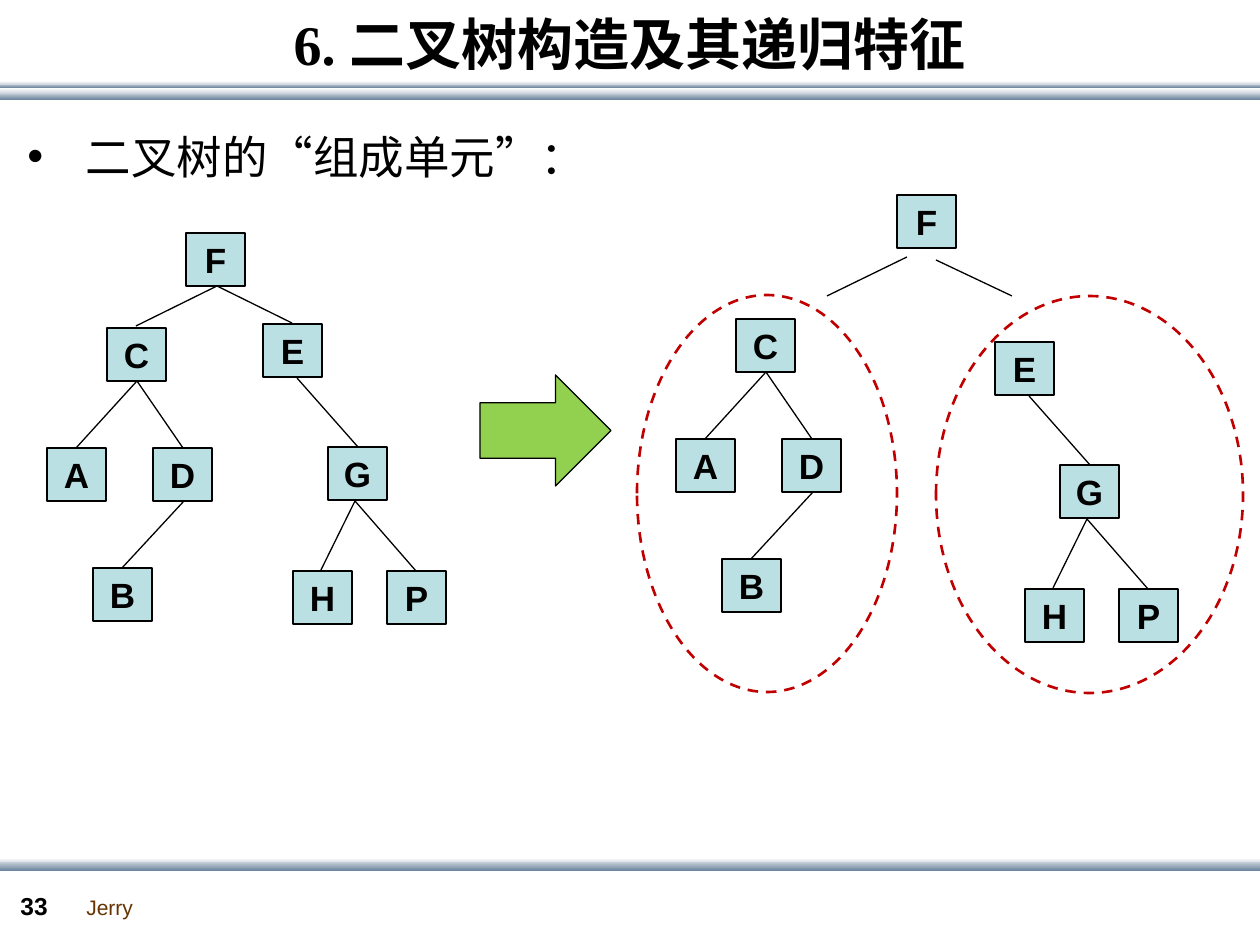
from dataclasses import dataclass

from lxml.etree import SubElement
from pptx import Presentation
from pptx.dml.color import RGBColor
from pptx.enum.dml import MSO_LINE
from pptx.enum.shapes import MSO_CONNECTOR, MSO_SHAPE
from pptx.enum.text import MSO_ANCHOR, PP_ALIGN
from pptx.oxml.ns import qn
from pptx.util import Emu, Pt

PX = 914400 / 126
WIDTH, HEIGHT = 1260, 945
NODE_WIDTH, NODE_HEIGHT = 59, 53

BLACK = RGBColor(0x00, 0x00, 0x00)
WHITE = RGBColor(0xFF, 0xFF, 0xFF)
PALE_STEEL = RGBColor(0xC8, 0xD1, 0xDA)
STEEL = RGBColor(0x6A, 0x83, 0x9C)
NODE_BLUE = RGBColor(0xBB, 0xE0, 0xE3)
ARROW_GREEN = RGBColor(0x92, 0xD0, 0x50)
RING_RED = RGBColor(0xC0, 0x00, 0x00)
BROWN = RGBColor(0x66, 0x33, 0x00)
CJK_FONT = "Noto Sans CJK SC"


@dataclass(frozen=True)
class Node:
    label: str
    x: int
    y: int


@dataclass(frozen=True)
class Edge:
    x1: int
    y1: int
    x2: int
    y2: int


@dataclass(frozen=True)
class Subtree:
    """Nodes and edges measured from the top left of the subtree's root."""
    nodes: tuple[Node, ...]
    edges: tuple[Edge, ...]


@dataclass(frozen=True)
class Tree:
    root: Node
    root_edges: tuple[Edge, ...]
    left_at: tuple[int, int]
    right_at: tuple[int, int]


@dataclass(frozen=True)
class Band:
    top: int
    height: int
    start: RGBColor
    end: RGBColor


LEFT_SUBTREE = Subtree(
    (Node("C", 0, 0), Node("A", -60, 120), Node("D", 46, 120), Node("B", -14, 240)),
    (Edge(30, 53, -31, 120), Edge(30, 53, 76, 120), Edge(77, 173, 15, 240)),
)
RIGHT_SUBTREE = Subtree(
    (Node("E", 0, 0), Node("G", 65, 123), Node("H", 30, 247), Node("P", 124, 247)),
    (Edge(34, 54, 95, 123), Edge(92, 177, 58, 246), Edge(92, 177, 153, 247)),
)
TREES = (
    Tree(Node("F", 186, 233), (Edge(217, 286, 136, 326), Edge(217, 286, 292, 323)),
         (107, 328), (263, 324)),
    Tree(Node("F", 897, 195), (Edge(907, 257, 827, 296), Edge(936, 260, 1012, 296)),
         (736, 319), (995, 342)),
)
BANDS = (
    Band(93, 7, PALE_STEEL, STEEL),
    Band(84, 4, PALE_STEEL, STEEL),
    Band(88, 6, WHITE, PALE_STEEL),
    Band(81, 4, WHITE, PALE_STEEL),
    Band(858, 6, WHITE, PALE_STEEL),
    Band(862, 9, PALE_STEEL, STEEL),
)


def px(value: int) -> Emu:
    return Emu(round(value * PX))


def add_shape(slide, kind, left: int, top: int, width: int, height: int):
    shape = slide.shapes.add_shape(kind, px(left), px(top), px(width), px(height))
    shape.shadow.inherit = False
    return shape


def outline(shape, color: RGBColor, points: float) -> None:
    shape.line.color.rgb = color
    shape.line.width = Pt(points)


def fill_solid(shape, color: RGBColor) -> None:
    shape.fill.solid()
    shape.fill.fore_color.rgb = color


def set_font(paragraph, name: str, size: int, color: RGBColor, bold: bool = False) -> None:
    font = paragraph.font
    font.name, font.size, font.bold = name, Pt(size), bold
    font.color.rgb = color


def set_cjk_font(paragraph) -> None:
    for run in paragraph.runs:
        SubElement(run.font._element, qn("a:ea"), typeface=CJK_FONT)


def add_text(slide, text: str, left: int, top: int, width: int, height: int, wrap: bool = True):
    box = slide.shapes.add_textbox(px(left), px(top), px(width), px(height))
    box.text_frame.word_wrap = wrap
    paragraph = box.text_frame.paragraphs[0]
    paragraph.text = text
    return box.text_frame, paragraph


def add_band(slide, band: Band) -> None:
    shape = add_shape(slide, MSO_SHAPE.RECTANGLE, 0, band.top, WIDTH, band.height)
    shape.line.fill.background()
    shape.fill.gradient()
    shape.fill.gradient_angle = 270
    for stop, color in zip(shape.fill.gradient_stops, (band.start, band.end)):
        stop.color.rgb = color


def add_node(slide, node: Node, dx: int = 0, dy: int = 0) -> None:
    shape = add_shape(slide, MSO_SHAPE.RECTANGLE, node.x + dx, node.y + dy,
                      NODE_WIDTH, NODE_HEIGHT)
    fill_solid(shape, NODE_BLUE)
    outline(shape, BLACK, 0.75)
    frame = shape.text_frame
    frame.word_wrap = False
    frame.vertical_anchor = MSO_ANCHOR.MIDDLE
    paragraph = frame.paragraphs[0]
    paragraph.text = node.label
    paragraph.alignment = PP_ALIGN.CENTER
    set_font(paragraph, "Arial", 20, BLACK, bold=True)


def add_edge(slide, edge: Edge, dx: int = 0, dy: int = 0) -> None:
    line = slide.shapes.add_connector(
        MSO_CONNECTOR.STRAIGHT, px(edge.x1 + dx), px(edge.y1 + dy),
        px(edge.x2 + dx), px(edge.y2 + dy))
    outline(line, BLACK, 0.75)
    SubElement(line._element.spPr, qn("a:effectLst"))


def add_tree(slide, tree: Tree) -> None:
    add_node(slide, tree.root)
    for edge in tree.root_edges:
        add_edge(slide, edge)
    for subtree, origin in ((LEFT_SUBTREE, tree.left_at), (RIGHT_SUBTREE, tree.right_at)):
        for node in subtree.nodes:
            add_node(slide, node, *origin)
        for edge in subtree.edges:
            add_edge(slide, edge, *origin)


def add_ring(slide, left: int, top: int, width: int, height: int) -> None:
    ring = add_shape(slide, MSO_SHAPE.OVAL, left, top, width, height)
    ring.fill.background()
    outline(ring, RING_RED, 1.5)
    ring.line.dash_style = MSO_LINE.DASH


def main() -> None:
    presentation = Presentation()
    presentation.slide_width, presentation.slide_height = px(WIDTH), px(HEIGHT)
    slide = presentation.slides.add_slide(presentation.slide_layouts[6])

    # Header and footer bands
    for band in BANDS:
        add_band(slide, band)

    # Footer
    _, author = add_text(slide, "Jerry", 74, 888, 73, 38, wrap=False)
    set_font(author, "Arial", 12, BROWN)
    _, number = add_text(slide, "33", 8, 885, 69, 42)
    set_font(number, "Arial", 14, BLACK, bold=True)

    # Title
    frame, title = add_text(slide, "6. 二叉树构造及其递归特征", 0, 0, WIDTH, 87)
    frame.vertical_anchor = MSO_ANCHOR.MIDDLE
    title.alignment = PP_ALIGN.CENTER
    set_font(title, "Times New Roman", 32, BLACK, bold=True)
    set_cjk_font(title)

    # Bullet line
    _, bullet = add_text(slide, " 二叉树的“组成单元”：", 15, 117, 1245, 84)
    bullet.line_spacing = 1.1
    properties = bullet._p.get_or_add_pPr()
    properties.set("marL", str(px(48)))
    properties.set("indent", str(-px(48)))
    SubElement(properties, qn("a:buFont"), typeface="Arial")
    SubElement(properties, qn("a:buChar"), char="•")
    set_font(bullet, CJK_FONT, 26, BLACK)
    set_cjk_font(bullet)

    # Whole tree, then the tree split into root and subtrees
    for tree in TREES:
        add_tree(slide, tree)
    add_ring(slide, 637, 295, 260, 397)
    add_ring(slide, 936, 296, 307, 397)

    # Arrow between the trees
    arrow = add_shape(slide, MSO_SHAPE.RIGHT_ARROW, 480, 375, 131, 111)
    fill_solid(arrow, ARROW_GREEN)
    outline(arrow, BLACK, 0.75)

    presentation.save("out.pptx")


if __name__ == "__main__":
    main()
